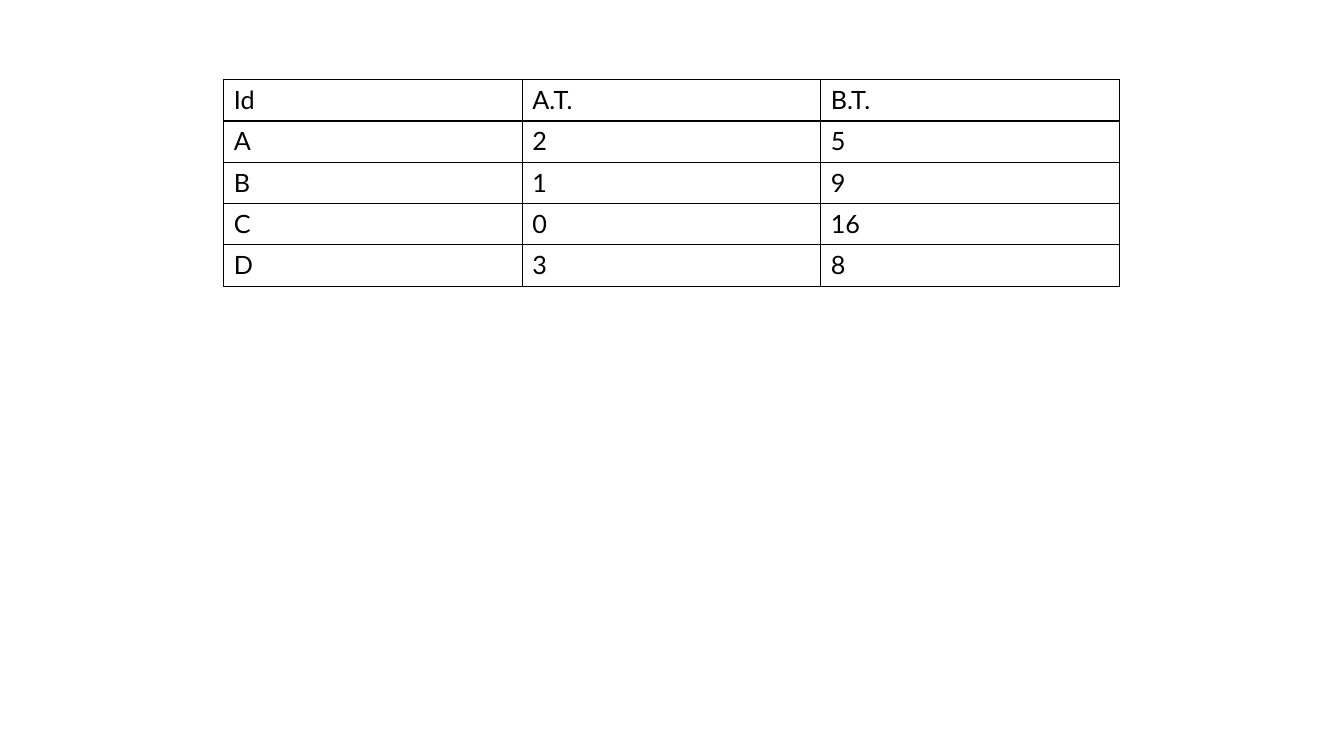
from lxml.etree import SubElement
from pptx import Presentation
from pptx.dml.color import RGBColor
from pptx.oxml.ns import qn
from pptx.util import Inches, Pt

COLORS = {"text": "000000", "border": "000000"}
FONT = "Lato"
COLUMN_WIDTH, ROW_HEIGHT = 2.96, 0.41

# Process id, arrival time, burst time
PROCESSES = [
    ("Id", "A.T.", "B.T."),
    ("A", "2", "5"),
    ("B", "1", "9"),
    ("C", "0", "16"),
    ("D", "3", "8"),
]


def add_borders(cell):
    properties = cell._tc.get_or_add_tcPr()
    for side in ("lnL", "lnR", "lnT", "lnB"):
        line = SubElement(properties, qn(f"a:{side}"), w=str(Pt(1)))
        fill = SubElement(line, qn("a:solidFill"))
        SubElement(fill, qn("a:srgbClr"), val=COLORS["border"])


def format_cell(cell, text):
    # Borders come before the fill in the cell properties
    add_borders(cell)
    cell.fill.background()
    cell.text = text
    font = cell.text_frame.paragraphs[0].font
    font.name = FONT
    font.size = Pt(18)
    font.bold = False
    font.color.rgb = RGBColor.from_string(COLORS["text"])


def add_process_table(slide, left, top):
    row_count, column_count = len(PROCESSES), len(PROCESSES[0])
    table = slide.shapes.add_table(
        row_count, column_count, Inches(left), Inches(top),
        Inches(COLUMN_WIDTH * column_count), Inches(ROW_HEIGHT * row_count),
    ).table
    table.first_row = False
    table.horz_banding = False
    for column in table.columns:
        column.width = Inches(COLUMN_WIDTH)
    for row, values in zip(table.rows, PROCESSES):
        row.height = Inches(ROW_HEIGHT)
        for cell, text in zip(row.cells, values):
            format_cell(cell, text)


def main():
    presentation = Presentation()
    presentation.slide_width = Inches(13.33)
    presentation.slide_height = Inches(7.5)
    # Blank layout
    slide = presentation.slides.add_slide(presentation.slide_layouts[6])
    add_process_table(slide, 2.22, 0.79)
    presentation.save("out.pptx")


if __name__ == "__main__":
    main()
